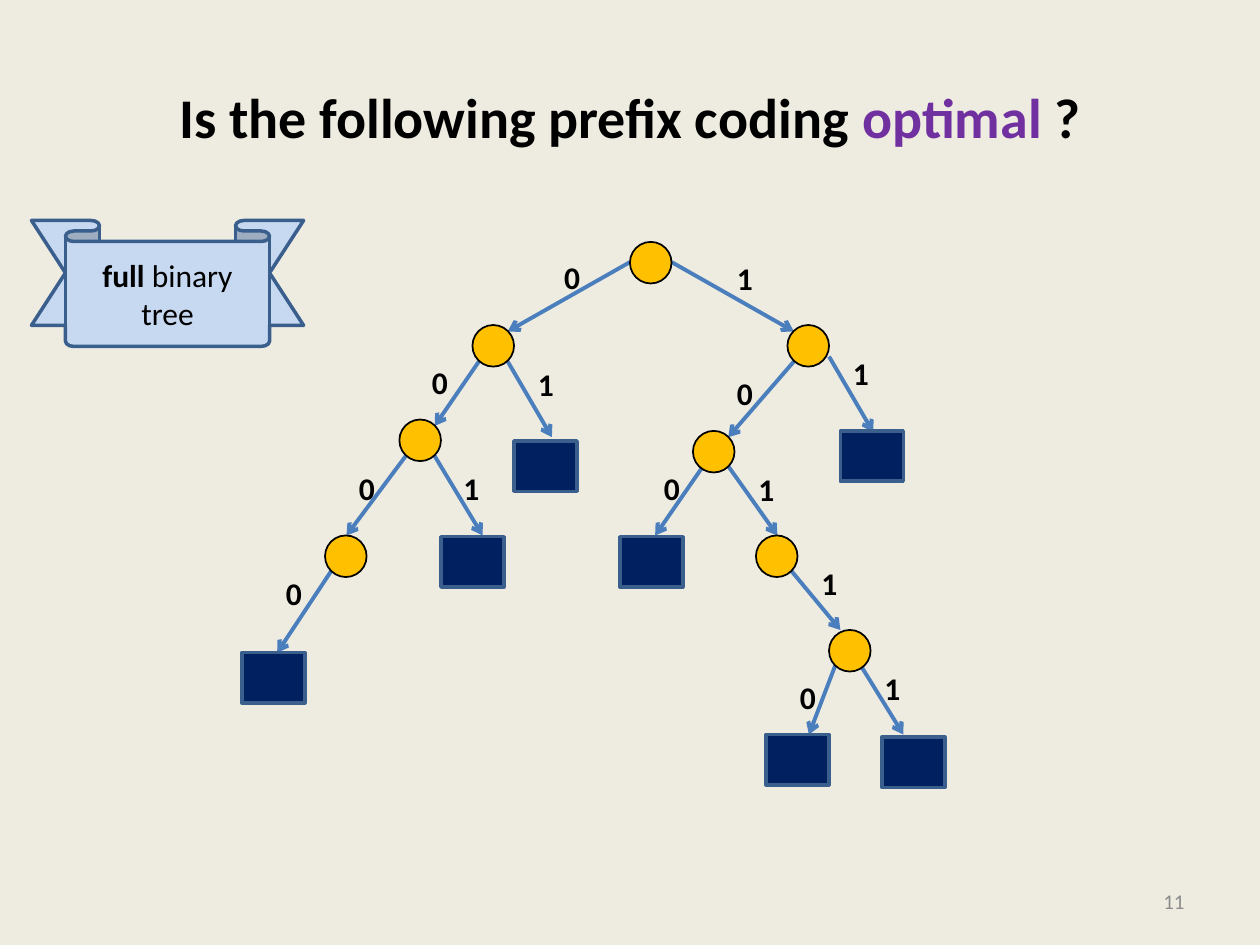
from lxml.etree import SubElement
from pptx import Presentation
from pptx.dml.color import RGBColor as RGB
from pptx.enum.shapes import MSO_CONNECTOR as LINK, MSO_SHAPE as KIND
from pptx.enum.text import MSO_ANCHOR as ANCHOR, MSO_AUTO_SIZE as AUTO, PP_ALIGN as ALIGN
from pptx.oxml.ns import qn
from pptx.util import Inches, Pt

HUES = {"back": "EEECE1", "ink": "000000", "key": "7030A0", "grey": "8C8C8C",
        "edge": "4B7EBC", "node": "FFC000", "leaf": "002060",
        "rim": "3A5F8C", "sash": "C6D9F1"}
NODES = [(3.08, 0), (1.83, 0.66), (4.33, 0.66), (1.25, 1.41),
         (3.58, 1.5), (0.66, 2.33), (4.08, 2.33), (4.66, 3.08)]
LEAVES = [(0, 3.26), (1.58, 2.34), (2.16, 1.58), (3, 2.34),
          (4.75, 1.5), (4.16, 3.91), (5.08, 3.93)]
EDGES = [
    ("0", (3.08, 0.16), (2.11, 0.71), (2.46, 0.08)),
    ("1", (3.41, 0.16), (4.38, 0.71), (3.83, 0.09)),
    ("0", (1.88, 0.95), (1.53, 1.46), (1.41, 0.91)),
    ("1", (2.11, 0.95), (2.46, 1.55), (2.25, 0.93)),
    ("0", (4.38, 0.95), (3.86, 1.55), (3.83, 1)),
    ("1", (4.66, 0.91), (5.01, 1.51), (4.75, 0.84)),
    ("0", (1.3, 1.7), (0.83, 2.33), (0.83, 1.75)),
    ("1", (1.53, 1.7), (1.91, 2.33), (1.66, 1.75)),
    ("0", (3.66, 1.78), (3.28, 2.33), (3.25, 1.75)),
    ("1", (3.86, 1.78), (4.25, 2.33), (4, 1.76)),
    ("0", (0.71, 2.61), (0.28, 3.26), (0.25, 2.59)),
    ("1", (4.36, 2.61), (4.75, 3.08), (4.5, 2.51)),
    ("0", (4.71, 3.36), (4.5, 3.91), (4.33, 3.41)),
    ("1", (4.91, 3.36), (5.25, 3.91), (5, 3.34)),
]


def hue(name):
    """Return the named colour."""
    return RGB.from_string(HUES[name])


def write(shape, runs, size, align=ALIGN.LEFT, **frame):
    """Write (text, colour, bold) runs and set the frame's format values."""
    for key, value in frame.items():
        setattr(shape.text_frame, key, value)
    para = shape.text_frame.paragraphs[0]
    para.alignment = align
    for text, tone, bold in runs:
        run = para.add_run()
        run.text = text
        for key, value in {"name": "Calibri", "size": Pt(size), "bold": bold}.items():
            setattr(run.font, key, value)
        run.font.color.rgb = hue(tone)


def draw(slide, kind, box, fill, rim, width):
    """Add a filled and outlined shape in the box."""
    shape = slide.shapes.add_shape(kind, *map(Inches, box))
    shape.shadow.inherit = False
    shape.fill.solid()
    shape.fill.fore_color.rgb = hue(fill)
    shape.line.color.rgb = hue(rim)
    shape.line.width = Pt(width)
    return shape


def link(slide, start, end):
    """Add an arrow from start to end."""
    line = slide.shapes.add_connector(LINK.STRAIGHT, *map(Inches, start + end))
    line.line.color.rgb = hue("edge")
    line.line.width = Pt(2.25)
    SubElement(line.line._get_or_add_ln(), qn("a:tailEnd"), type="arrow")
    SubElement(line._element.spPr, qn("a:effectLst"))


def head(slide, box):
    """Place the title in the box."""
    title = slide.shapes.title
    title.left, title.top, title.width, title.height = map(Inches, box)
    runs = [("Is the following prefix coding ", "ink", True),
            ("optimal", "key", True), (" ?", "ink", True)]
    write(title, runs, 32, ALIGN.CENTER, vertical_anchor=ANCHOR.MIDDLE)


def tree(slide, left, top):
    """Draw the code tree from its top left corner."""
    def shift(spot):
        """Move a spot of the tree onto the slide."""
        return left + spot[0], top + spot[1]

    for bit, start, end, spot in EDGES:
        link(slide, shift(start), shift(end))
        label = slide.shapes.add_textbox(*map(Inches, shift(spot) + (0.33, 0.4)))
        write(label, [(bit, "ink", True)], 18, word_wrap=False,
              auto_size=AUTO.SHAPE_TO_FIT_TEXT)
    for spot in NODES:
        draw(slide, KIND.OVAL, shift(spot) + (0.33, 0.33), "node", "ink", 1)
    for spot in LEAVES:
        draw(slide, KIND.RECTANGLE, shift(spot) + (0.5, 0.4), "leaf", "rim", 2)


def sash(slide, box):
    """Draw the ribbon with its remark."""
    shape = draw(slide, KIND.DOWN_RIBBON, box, "sash", "rim", 2)
    shape.adjustments[0], shape.adjustments[1] = 0.167, 0.75
    write(shape, [("full ", "ink", True), ("binary tree", "ink", False)], 18,
          ALIGN.CENTER, word_wrap=True, vertical_anchor=ANCHOR.MIDDLE)


def foot(slide, box):
    """Write the page number in the box."""
    shape = slide.shapes.add_textbox(*map(Inches, box))
    write(shape, [("11", "grey", False)], 12, ALIGN.RIGHT,
          word_wrap=True, vertical_anchor=ANCHOR.MIDDLE)


def main():
    """Build and save the slide."""
    deck = Presentation()
    deck.slide_width, deck.slide_height = Inches(10), Inches(7.5)
    slide = deck.slides.add_slide(deck.slide_layouts[5])
    slide.background.fill.solid()
    slide.background.fill.fore_color.rgb = hue("back")
    head(slide, (0.5, 0.3, 9, 1.25))
    foot(slide, (7.17, 6.95, 2.33, 0.4))
    tree(slide, 1.92, 1.92)
    sash(slide, (0.25, 1.75, 2.16, 1))
    deck.save("out.pptx")


if __name__ == "__main__":
    main()
